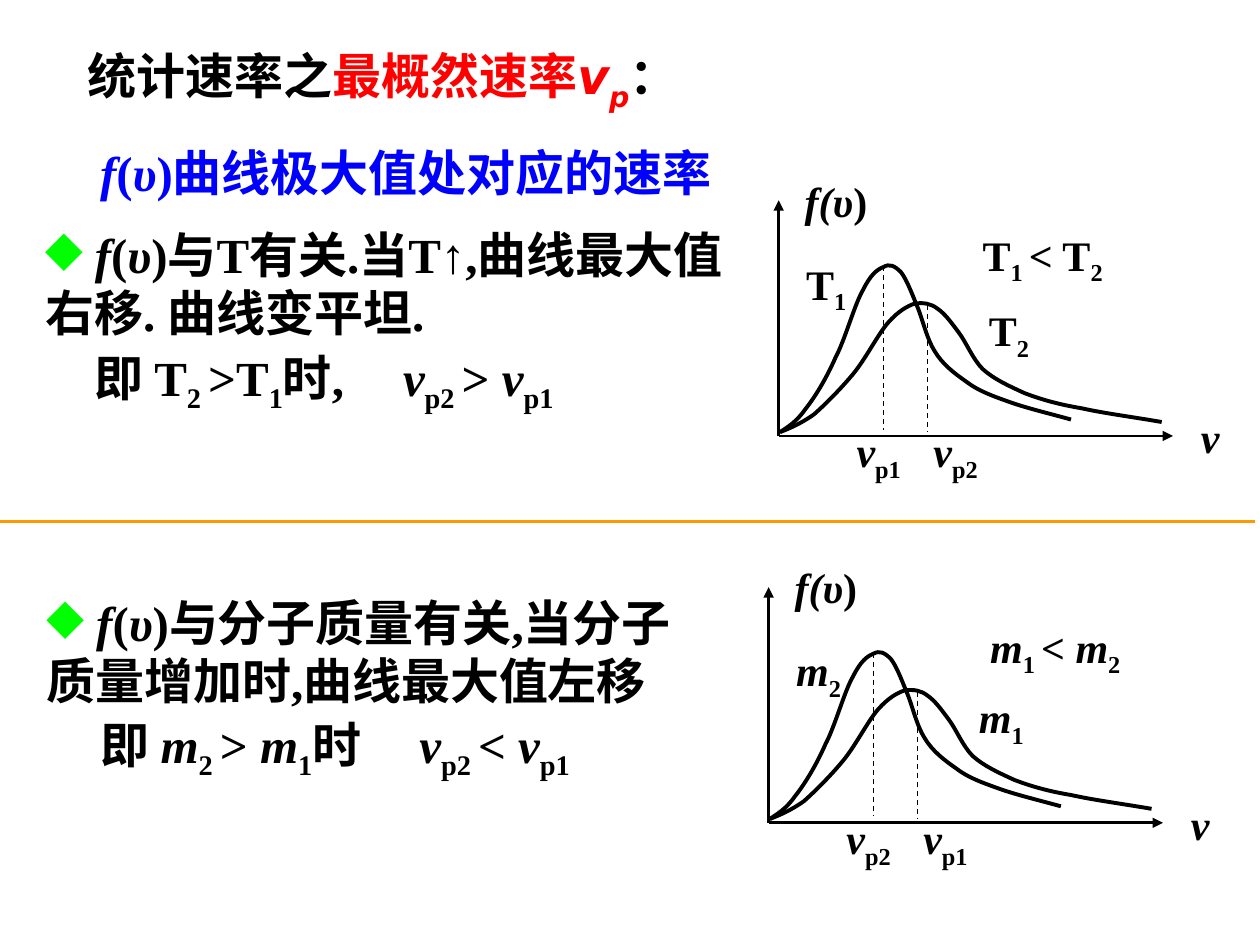
"""Build a slide on the most probable speed and how its curve shifts with temperature and mass."""
from lxml import etree
from pptx import Presentation
from pptx.dml.color import RGBColor
from pptx.enum.dml import MSO_LINE
from pptx.enum.shapes import MSO_CONNECTOR
from pptx.enum.text import MSO_ANCHOR, MSO_AUTO_SIZE, PP_ALIGN
from pptx.oxml.ns import qn
from pptx.util import Inches, Pt

STRAIGHT = MSO_CONNECTOR.STRAIGHT
DASH = MSO_LINE.DASH
TOP, MIDDLE = MSO_ANCHOR.TOP, MSO_ANCHOR.MIDDLE
LEFT, CENTER = PP_ALIGN.LEFT, PP_ALIGN.CENTER
FIT = MSO_AUTO_SIZE.SHAPE_TO_FIT_TEXT

THEME = {
    "black": "000000", "red": "FF0000", "blue": "0000FF", "bullet": "00FF00", "divider": "FF9900",
    "serif": "Times New Roman", "sans": "DejaVu Sans", "body": Pt(28), "label": Pt(24),
    "axis": Pt(1.5), "curve": Pt(2.25), "guide": Pt(0.75), "rule": Pt(2),
}


def add_text(page, place, paragraphs, size="label", anchor=TOP, align=LEFT,
             wrap=True, spacing=None, bullet=None, tab=None):
    """Add a text box; run flags: i italic, s subscript, r red, b blue, d sans."""
    box = page.shapes.add_textbox(*map(Inches, place))
    frame_format = {"word_wrap": wrap, "auto_size": FIT, "vertical_anchor": anchor}
    for name, value in frame_format.items():
        setattr(box.text_frame, name, value)
    for index, runs in enumerate(paragraphs):
        para = box.text_frame.paragraphs[0] if index == 0 else box.text_frame.add_paragraph()
        properties = para._p.get_or_add_pPr()
        if bullet:
            bullet_color = etree.SubElement(properties, qn("a:buClr"))
            etree.SubElement(bullet_color, qn("a:srgbClr"), val=THEME["bullet"])
            etree.SubElement(properties, qn("a:buChar"), char=bullet)
        if tab:
            tabs = etree.SubElement(properties, qn("a:tabLst"))
            etree.SubElement(tabs, qn("a:tab"), pos=str(Inches(tab)), algn="l")
        para.alignment = align
        para.line_spacing = spacing
        for text, flags in runs:
            span = para.add_run()
            span.text = text
            span_format = {"name": THEME["sans" if "d" in flags else "serif"],
                           "size": THEME[size], "bold": True, "italic": "i" in flags}
            for name, value in span_format.items():
                setattr(span.font, name, value)
            color = "red" if "r" in flags else "blue" if "b" in flags else "black"
            span.font.color.rgb = RGBColor.from_string(THEME[color])
            if "s" in flags:
                span._r.get_or_add_rPr().set("baseline", "-25000")


def add_line(page, start, end, width, color="black", dash=None, arrow=False):
    """Add a straight line with optional dashes and arrowhead."""
    line = page.shapes.add_connector(STRAIGHT, *map(Inches, (*start, *end)))
    line.line.color.rgb = RGBColor.from_string(THEME[color])
    line.line.width = THEME[width]
    if dash:
        line.line.dash_style = dash
    if arrow:
        etree.SubElement(line.line._get_or_add_ln(), qn("a:tailEnd"), type="triangle")
    etree.SubElement(line._element.spPr, qn("a:effectLst"))


deck = Presentation()
deck.slide_width, deck.slide_height = Inches(10), Inches(7.5)
page = deck.slides.add_slide(deck.slide_layouts[6])

add_text(page, (0.6, 0.05, 5.7, 1.43), [
    [("统计速率之", ""), ("最概然速率", "r"), ("v", "rid"), ("p", "rids"), ("：", "d")],
    [(" ", ""), ("f", "bi"), ("(", "b"), ("υ", "bi"), (")曲线极大值处对应的速率", "b")],
], "body", spacing=1.5)

STATEMENTS = [
    ((0.26, 1.73, 5.85, 1.03), ")与T有关.当T↑,曲线最大值右移. 曲线变平坦."),
    ((0.27, 4.65, 5.31, 1.03), ")与分子质量有关,当分子质量增加时,曲线最大值左移"),
]
for place, ending in STATEMENTS:
    add_text(page, place, [[(" ", ""), ("f", "i"), ("(", ""), ("υ", "i"), (ending, "")]],
             "body", bullet="◆")

add_text(page, (0.65, 2.71, 4.05, 0.57), [[
    ("即 T", ""), ("2 ", "s"), (">T", ""), ("1", "s"), ("时,\t", ""),
    ("v", "i"), ("p2 ", "s"), ("> ", ""), ("v", "i"), ("p1", "s"),
]], "body", tab=2.45)
add_text(page, (0.7, 5.62, 4.05, 0.57), [[
    ("即 ", ""), ("m", "i"), ("2 ", "s"), ("> ", ""), ("m", "i"), ("1", "s"), ("时\t", ""),
    ("v", "i"), ("p2 ", "s"), ("< ", ""), ("v", "i"), ("p1", "s"),
]], "body", tab=2.53)

add_line(page, (0, 4.14), (9.96, 4.14), "rule", "divider")

TALL_CURVE = [
    (6.19, 3.43), (6.25, 3.39), (6.32, 3.35), (6.39, 3.25), (6.47, 3.15), (6.56, 3), (6.63, 2.84),
    (6.71, 2.69), (6.78, 2.42), (6.85, 2.3), (6.91, 2.18), (6.96, 2.14), (7.01, 2.12),
    (7.06, 2.09), (7.1, 2.11), (7.15, 2.16), (7.19, 2.21), (7.23, 2.31), (7.27, 2.41),
    (7.32, 2.52), (7.35, 2.68), (7.42, 2.79), (7.48, 2.89), (7.57, 2.96), (7.67, 3.03),
    (7.76, 3.1), (7.87, 3.14), (8.01, 3.19), (8.15, 3.24), (8.32, 3.28), (8.5, 3.33),
]
FLAT_CURVE = [
    (6.19, 3.43), (6.27, 3.4), (6.36, 3.36), (6.46, 3.29), (6.55, 3.21), (6.67, 3.09), (6.77, 2.97),
    (6.87, 2.85), (6.97, 2.65), (7.05, 2.56), (7.13, 2.47), (7.2, 2.43), (7.26, 2.41),
    (7.33, 2.4), (7.39, 2.41), (7.44, 2.45), (7.5, 2.49), (7.55, 2.56), (7.61, 2.64),
    (7.67, 2.72), (7.72, 2.85), (7.8, 2.93), (7.89, 3.01), (8, 3.06), (8.13, 3.12),
    (8.26, 3.17), (8.4, 3.21), (8.58, 3.24), (8.76, 3.28), (8.99, 3.31), (9.22, 3.35),
]
DIAGRAMS = [
    (0, 0, "T", "", ("1", "2"), ("p1", "p2"), (7.7, 1.77, 1.46, 0.5)),
    (-0.08, 3.07, "m", "i", ("2", "1"), ("p2", "p1"), (7.76, 4.88, 1.49, 0.5)),
]
for dx, dy, symbol, style, curve_names, peak_names, relation_place in DIAGRAMS:
    origin = (6.18 + dx, 3.46 + dy)
    for tip in [(6.18, 1.59), (9.31, 3.46)]:
        add_line(page, origin, (tip[0] + dx, tip[1] + dy), "axis", arrow=True)

    for points in (TALL_CURVE, FLAT_CURVE):
        nodes = [(Inches(x + dx), Inches(y + dy)) for x, y in points]
        builder = page.shapes.build_freeform(*nodes[0])
        builder.add_line_segments(nodes[1:], close=False)
        curve = builder.convert_to_shape()
        curve.shadow.inherit = False
        curve.fill.background()
        curve.line.color.rgb = RGBColor.from_string(THEME["black"])
        curve.line.width = THEME["curve"]
        outline = curve._element.spPr.find(".//" + qn("a:path"))
        segments = outline.findall(qn("a:lnTo"))
        for first in range(0, len(segments), 3):
            bezier = etree.SubElement(outline, qn("a:cubicBezTo"))
            for segment in segments[first:first + 3]:
                bezier.append(segment[0])
                outline.remove(segment)

    for x, top, bottom in [(7.01, 2.11, 3.41), (7.36, 2.42, 3.43)]:
        add_line(page, (x + dx, top + dy), (x + dx, bottom + dy), "guide", dash=DASH)

    add_text(page, (6.21 + dx, 1.34 + dy, 0.85, 0.5), [[("f(υ", "i"), (")", "")]],
             anchor=MIDDLE, align=CENTER)
    add_text(page, (9.43 + dx, 3.22 + dy, 0.35, 0.5), [[("v", "i")]],
             anchor=MIDDLE, align=CENTER, wrap=False)
    labels = [
        (6.7, 3.33, 0.66, "v", "i", peak_names[0]),
        (7.31, 3.33, 0.77, "v", "i", peak_names[1]),
        (6.3, 2, 0.75, symbol, style, curve_names[0]),
        (7.75, 2.37, 0.78, symbol, style, curve_names[1]),
    ]
    for left, top, width, letter, flags, subscript in labels:
        add_text(page, (left + dx, top + dy, width, 0.5), [[(letter, flags), (subscript, "s")]])
    add_text(page, relation_place, [[
        (symbol, style), ("1 ", "s"), ("< ", ""), (symbol, style), ("2", "s"),
    ]])

deck.save("out.pptx")
